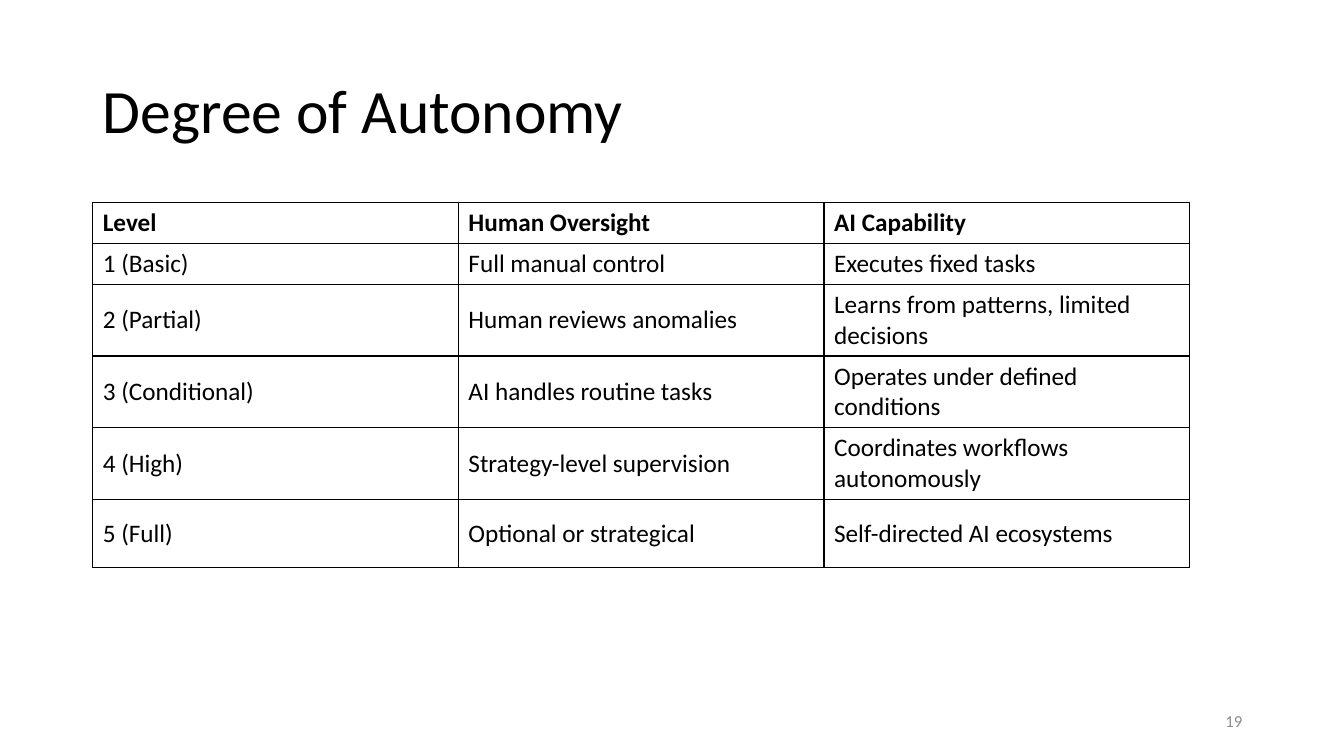
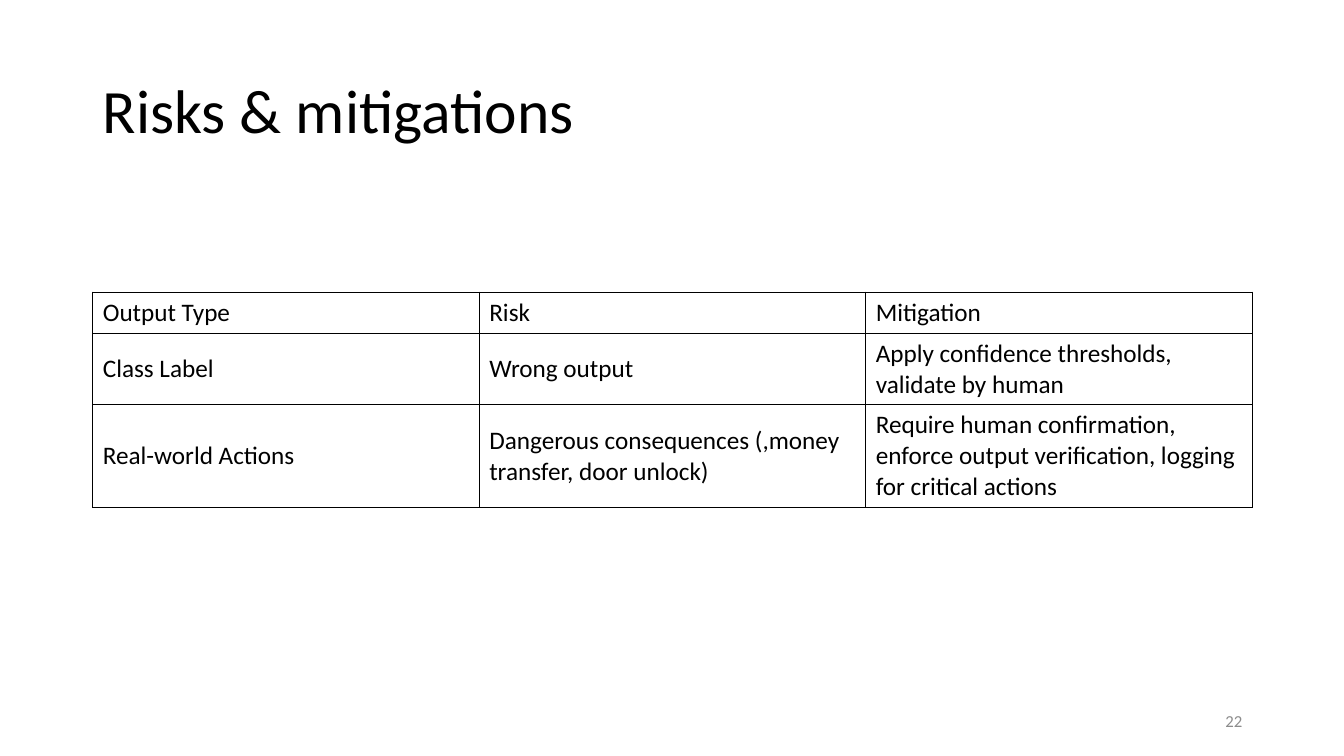
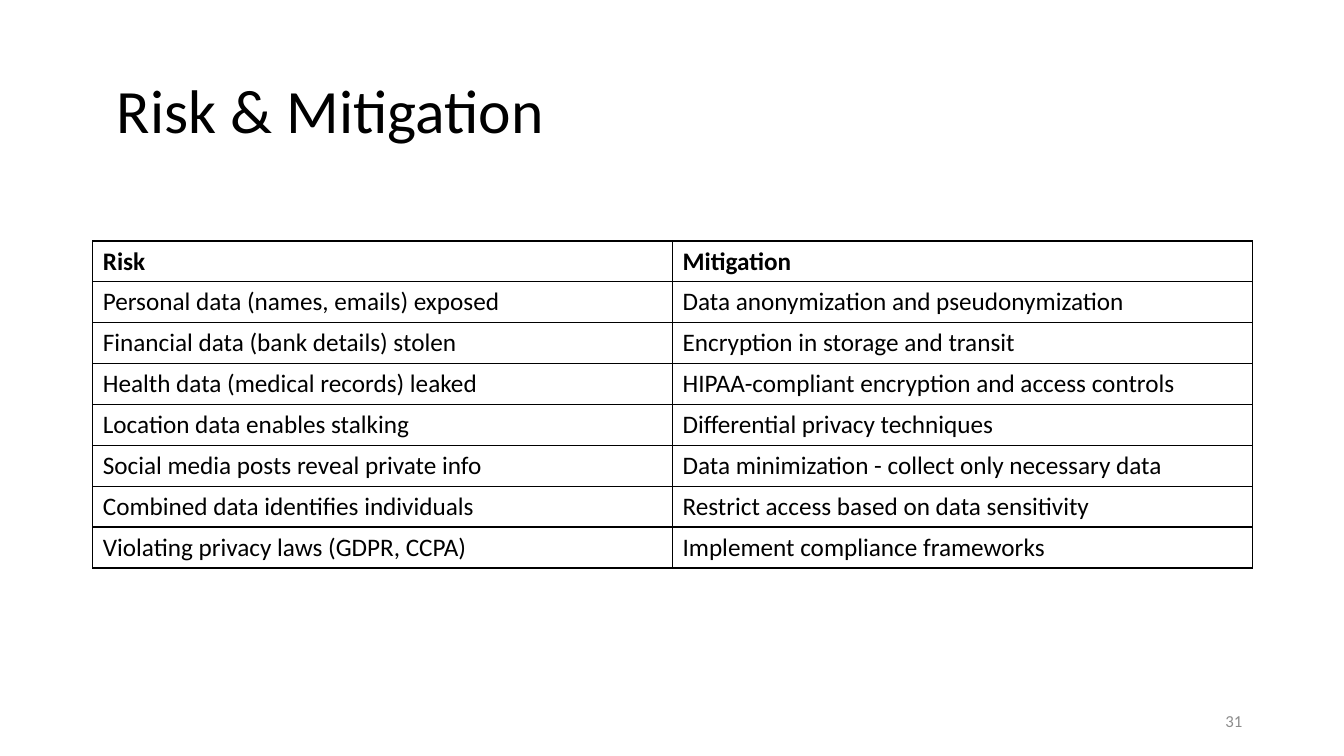
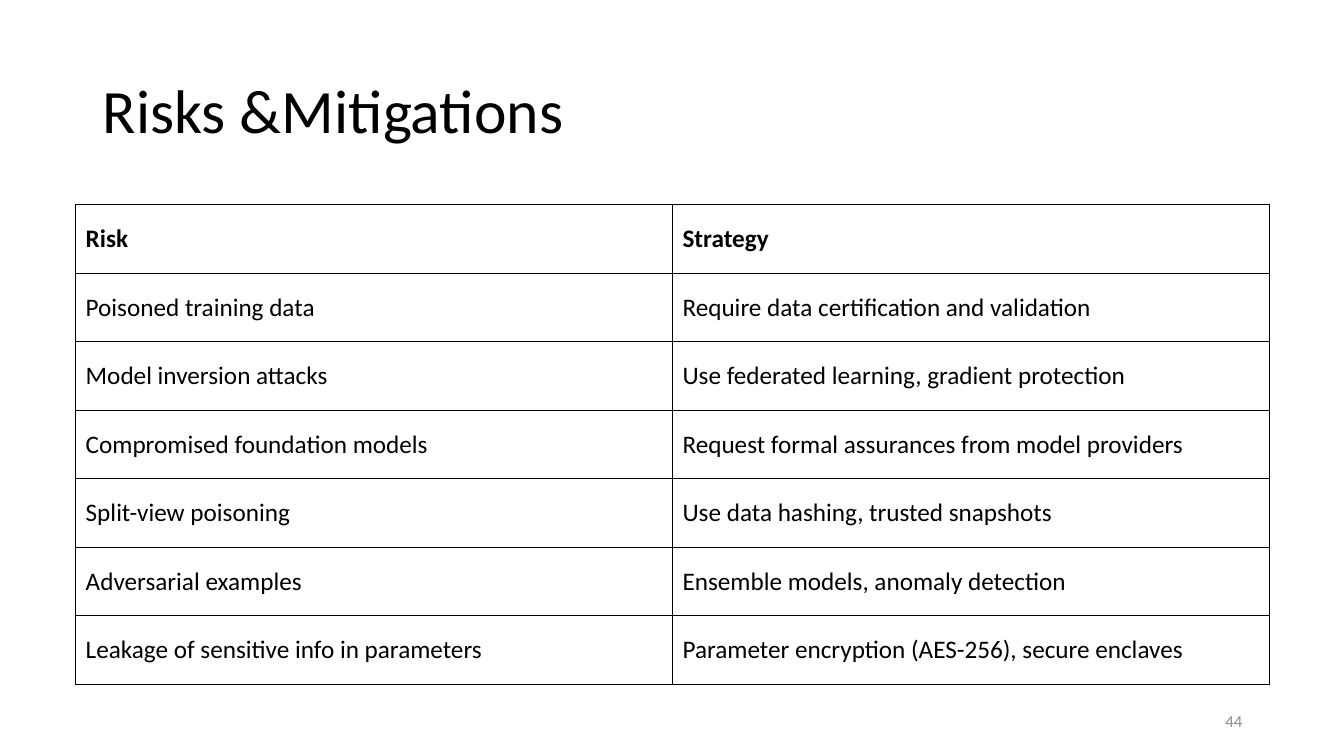
from lxml.etree import SubElement
from pptx import Presentation
from pptx.dml.color import RGBColor
from pptx.enum.text import MSO_ANCHOR, MSO_AUTO_SIZE, PP_ALIGN
from pptx.oxml.ns import qn
from pptx.util import Inches, Pt

COLORS = {"text": "000000", "border": "000000", "number": "8C8C8C"}
FONT = "Calibri"
SLIDE_SIZE = (13.33, 7.5)
TITLE_BOX = (0.92, 0.4, 11.5, 1.45)
NUMBER_BOX = (9.42, 6.95, 3, 0.4)
TITLE_ONLY = 5
INSET = 0.1
BORDER_WIDTH = 1
# Heights of table rows by the number of lines they hold, and of roomy rows
ONE_LINE, TWO_LINES, THREE_LINES, ROOMY = 0.4, 0.71, 1.01, 0.68

SLIDES = [
    {
        "title": "Degree of Autonomy",
        "number": 19,
        "table_box": (0.92, 2.01, 10.88),
        "row_heights": [ONE_LINE] * 2 + [TWO_LINES] * 3 + [ROOMY],
        "rows": [
            ("Level", "Human Oversight", "AI Capability"),
            ("1 (Basic)", "Full manual control", "Executes fixed tasks"),
            ("2 (Partial)", "Human reviews anomalies", "Learns from patterns, limited decisions"),
            ("3 (Conditional)", "AI handles routine tasks", "Operates under defined conditions"),
            ("4 (High)", "Strategy-level supervision", "Coordinates workflows autonomously"),
            ("5 (Full)", "Optional or strategical", "Self-directed AI ecosystems"),
        ],
    },
    {
        "title": "Risks & mitigations",
        "number": 22,
        "table_box": (0.92, 2.9, 11.5),
        "row_heights": [ONE_LINE, TWO_LINES, THREE_LINES],
        "bold_header": False,
        "rows": [
            ("Output Type", "Risk", "Mitigation"),
            ("Class Label", "Wrong output", "Apply confidence thresholds, validate by human"),
            ("Real-world Actions", "Dangerous consequences (,money transfer, door unlock)",
             "Require human confirmation, enforce output verification, logging for critical actions"),
        ],
    },
    {
        "title": "Risk & Mitigation",
        "title_indent": 0.14,
        "number": 31,
        "table_box": (0.92, 2.39, 11.5),
        "row_heights": [ONE_LINE] * 8,
        "rows": [
            ("Risk", "Mitigation"),
            ("Personal data (names, emails) exposed", "Data anonymization and pseudonymization"),
            ("Financial data (bank details) stolen", "Encryption in storage and transit"),
            ("Health data (medical records) leaked", "HIPAA-compliant encryption and access controls"),
            ("Location data enables stalking", "Differential privacy techniques"),
            ("Social media posts reveal private info", "Data minimization - collect only necessary data"),
            ("Combined data identifies individuals", "Restrict access based on data sensitivity"),
            ("Violating privacy laws (GDPR, CCPA)", "Implement compliance frameworks"),
        ],
    },
    {
        "title": "Risks &Mitigations",
        "number": 44,
        "table_box": (0.75, 2.03, 11.84),
        "row_heights": [ROOMY] * 7,
        "rows": [
            ("Risk", "Strategy"),
            ("Poisoned training data", "Require data certification and validation"),
            ("Model inversion attacks", "Use federated learning, gradient protection"),
            ("Compromised foundation models", "Request formal assurances from model providers"),
            ("Split-view poisoning", "Use data hashing, trusted snapshots"),
            ("Adversarial examples", "Ensemble models, anomaly detection"),
            ("Leakage of sensitive info in parameters", "Parameter encryption (AES-256), secure enclaves"),
        ],
    },
]


def write(frame, text, size, color="text", bold=False, align=PP_ALIGN.LEFT):
    """Put one formatted paragraph into a text frame and return it."""
    frame.text = text
    frame.word_wrap = True
    paragraph = frame.paragraphs[0]
    paragraph.alignment = align
    for run in paragraph.runs:
        run.font.name = FONT
        run.font.size = Pt(size)
        run.font.bold = bold
        run.font.color.rgb = RGBColor.from_string(COLORS[color])
    return paragraph


def place_title(slide, text, box, indent):
    title = slide.shapes.title
    title.left, title.top, title.width, title.height = map(Inches, box)
    frame = title.text_frame
    write(frame, text, 44).line_spacing = 0.9
    frame.auto_size = MSO_AUTO_SIZE.NONE
    frame.vertical_anchor = MSO_ANCHOR.MIDDLE
    frame.margin_left = Inches(INSET + indent)


def place_number(slide, number, box):
    frame = slide.shapes.add_textbox(*map(Inches, box)).text_frame
    write(frame, str(number), 12, "number", align=PP_ALIGN.RIGHT)
    frame.vertical_anchor = MSO_ANCHOR.MIDDLE


def border_cell(cell):
    properties = cell._tc.get_or_add_tcPr()
    for side in ("a:lnL", "a:lnR", "a:lnT", "a:lnB"):
        line = SubElement(properties, qn(side), w=str(Pt(BORDER_WIDTH)))
        fill = SubElement(line, qn("a:solidFill"))
        SubElement(fill, qn("a:srgbClr"), val=COLORS["border"])


def place_table(slide, rows, box, row_heights, bold_header):
    """Draw a bordered table with equal columns across the box."""
    left, top, width = box
    table = slide.shapes.add_table(
        len(rows), len(rows[0]), Inches(left), Inches(top),
        Inches(width), Inches(sum(row_heights))).table
    table.first_row = table.horz_banding = False
    for row, height in zip(table.rows, row_heights):
        row.height = Inches(height)
    for r, texts in enumerate(rows):
        for c, text in enumerate(texts):
            cell = table.cell(r, c)
            write(cell.text_frame, text, 18, bold=bold_header and r == 0)
            cell.vertical_anchor = MSO_ANCHOR.MIDDLE
            border_cell(cell)
            cell.fill.background()


def add_table_slide(deck, content):
    slide = deck.slides.add_slide(deck.slide_layouts[TITLE_ONLY])
    place_title(slide, content["title"], TITLE_BOX, content.get("title_indent", 0))
    place_table(slide, content["rows"], content["table_box"],
                content["row_heights"], content.get("bold_header", True))
    place_number(slide, content["number"], NUMBER_BOX)


def main():
    deck = Presentation()
    deck.slide_width, deck.slide_height = map(Inches, SLIDE_SIZE)
    for content in SLIDES:
        add_table_slide(deck, content)
    deck.save("out.pptx")


if __name__ == "__main__":
    main()
